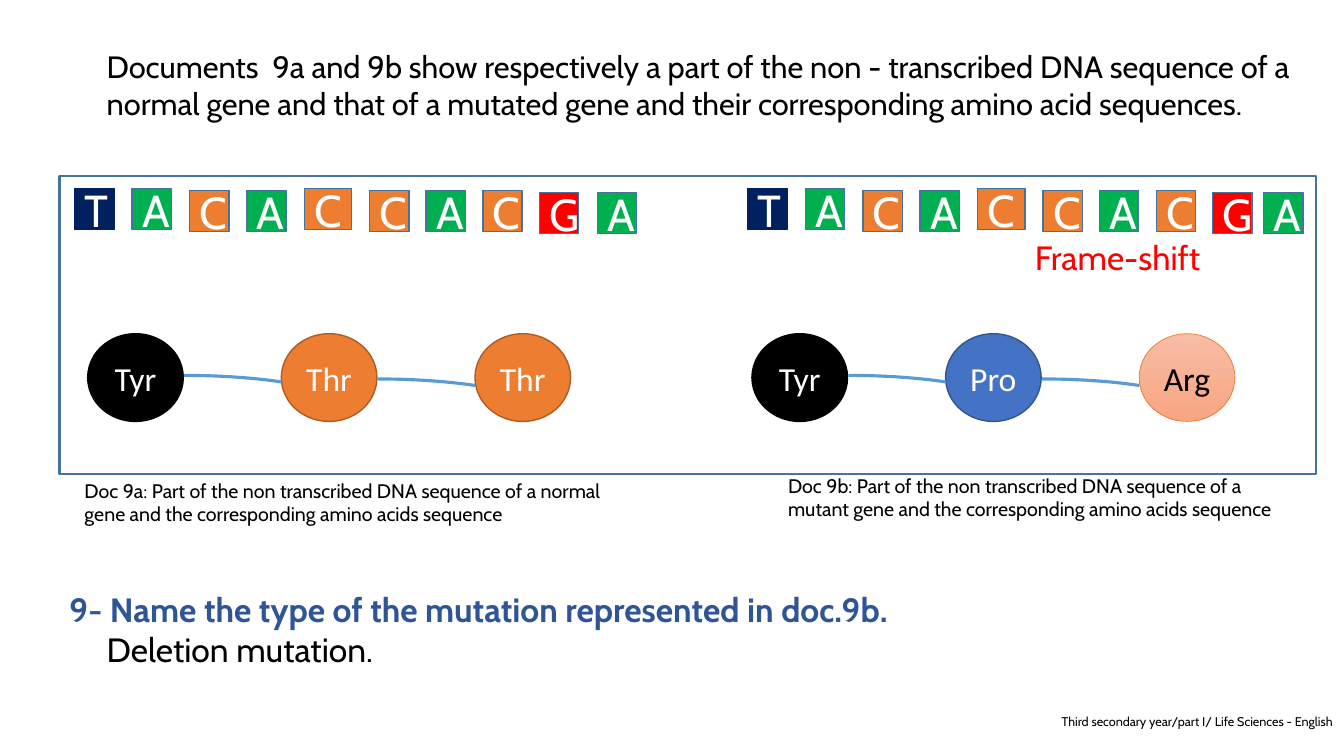
from pptx import Presentation
from pptx.dml.color import RGBColor
from pptx.enum.shapes import MSO_SHAPE
from pptx.enum.text import MSO_ANCHOR, PP_ALIGN
from pptx.util import Cm, Pt

BLACK = RGBColor(0x00, 0x00, 0x00)
WHITE = RGBColor(0xFF, 0xFF, 0xFF)
NAVY = RGBColor(0x00, 0x20, 0x60)
GREEN = RGBColor(0x00, 0xB0, 0x50)
ORANGE = RGBColor(0xED, 0x7D, 0x31)
RUST = RGBColor(0xAF, 0x5C, 0x24)
RED = RGBColor(0xFF, 0x00, 0x00)
BLUE = RGBColor(0x44, 0x72, 0xC4)
DARK_BLUE = RGBColor(0x32, 0x54, 0x91)
SKY = RGBColor(0x5B, 0x9B, 0xD5)
STEEL = RGBColor(0x43, 0x73, 0x9E)
HEADING = RGBColor(0x2F, 0x55, 0x97)
PEACH = RGBColor(0xF7, 0xBD, 0xA5)
SALMON = RGBColor(0xF8, 0xA5, 0x82)

presentation = Presentation()
presentation.slide_width = Cm(33.87)
presentation.slide_height = Cm(19.05)
slide = presentation.slides.add_slide(presentation.slide_layouts[6])


def add_figure(kind, box, fill, line, width):
    shape = slide.shapes.add_shape(kind, *[Cm(length) for length in box])
    shape.shadow.inherit = False
    if fill is None:
        shape.fill.background()
    else:
        shape.fill.solid()
        shape.fill.fore_color.rgb = fill
    shape.line.color.rgb = line
    shape.line.width = Pt(width)
    return shape


def write(paragraph, text, color, align=PP_ALIGN.LEFT, **font_values):
    paragraph.text = text
    paragraph.alignment = align
    paragraph.font.color.rgb = color
    for name, value in font_values.items():
        setattr(paragraph.font, name, value)


base_colors = {"T": NAVY, "A": GREEN, "C": ORANGE, "G": RED}
tile_offsets = [0, 1.45, 2.9, 4.34, 5.79, 7.44, 8.86, 10.29, 11.71, 13.18]
tile_tops = [4.75, 4.75, 4.8, 4.8, 4.75, 4.8, 4.8, 4.8, 4.85, 4.85]
sequences = [
    (1.88, tile_offsets),
    (18.85, tile_offsets[:-1] + [13.0]),
]
for sequence_left, offsets in sequences:
    for index, (base, offset, top) in enumerate(zip("TACACCACGA", offsets, tile_tops)):
        tile_width = 1.19 if index == 4 else 0.99
        border = NAVY if base == "T" else STEEL
        tile = add_figure(MSO_SHAPE.RECTANGLE, (sequence_left + offset, top, tile_width, 1.04),
                          base_colors[base], border, 1)
        tile.text_frame.vertical_anchor = MSO_ANCHOR.MIDDLE
        write(tile.text_frame.paragraphs[0], base, WHITE, PP_ALIGN.CENTER,
              size=Pt(32), name="Cabin")

amino_acid_styles = {
    "Tyr": (BLACK, BLACK, 1, WHITE),
    "Thr": (ORANGE, RUST, 1, WHITE),
    "Pro": (BLUE, DARK_BLUE, 1, WHITE),
    "Arg": (PEACH, ORANGE, 0.5, BLACK),
}
chains = [(2.21, ["Tyr", "Thr", "Thr"]), (18.95, ["Tyr", "Pro", "Arg"])]
chain_step = 4.88
for chain_left, amino_acids in chains:
    for index, amino_acid in enumerate(amino_acids):
        fill, line, width, color = amino_acid_styles[amino_acid]
        circle = add_figure(MSO_SHAPE.OVAL, (chain_left + index * chain_step, 8.41, 2.41, 2.21),
                            fill, line, width)
        if amino_acid == "Arg":
            circle.fill.gradient()
            circle.fill.gradient_angle = 270
            for stop, stop_color, position in zip(circle.fill.gradient_stops, (PEACH, SALMON), (0, 1)):
                stop.color.rgb = stop_color
                stop.position = position
        circle.text_frame.vertical_anchor = MSO_ANCHOR.MIDDLE
        write(circle.text_frame.paragraphs[0], amino_acid, color, PP_ALIGN.CENTER,
              size=Pt(24), name="Calibri")
    for index in range(2):
        bond = add_figure(MSO_SHAPE.ARC,
                          (chain_left - 1.8 + index * chain_step, 9.46 + index * 0.09, 8.46, 1.78),
                          None, SKY, 2.25)
        bond.adjustments[0] = 162
        bond.adjustments[1] = 206.14

add_figure(MSO_SHAPE.RECTANGLE, (1.5, 4.43, 31.67, 7.52), None, STEEL, 1.5)

texts = [
    ((2.44, 1.09, 31.3, 2.13),
     "Documents  9a and 9b show respectively a part of the non - transcribed DNA sequence of a "
     "normal gene and that of a mutated gene and their corresponding amino acid sequences.",
     BLACK, PP_ALIGN.LEFT, {"size": Pt(22)}),
    ((1.88, 11.94, 13.56, 1.45),
     "Doc 9a: Part of the non transcribed DNA sequence of a normal gene and the corresponding "
     "amino acids sequence",
     BLACK, PP_ALIGN.LEFT, {"size": Pt(14)}),
    ((19.61, 11.81, 13.56, 1.45),
     "Doc 9b: Part of the non transcribed DNA sequence of a mutant gene and the corresponding "
     "amino acids sequence",
     BLACK, PP_ALIGN.LEFT, {"size": Pt(14)}),
    ((25.83, 5.84, 5.99, 1.27), "Frame-shift", RED, PP_ALIGN.LEFT, {"size": Pt(24)}),
    ((8.76, 17.86, 25.07, 0.8), "Third secondary year/part I/ Life Sciences - English",
     BLACK, PP_ALIGN.RIGHT, {"size": Pt(9)}),
    ((1.5, 14.71, 31.55, 2.31), "9- Name the type of the mutation represented in doc.9b.",
     HEADING, PP_ALIGN.LEFT, {"size": Pt(24), "bold": True}),
]
for box, text, color, align, font_values in texts:
    text_box = slide.shapes.add_textbox(*[Cm(length) for length in box])
    text_box.text_frame.word_wrap = True
    write(text_box.text_frame.paragraphs[0], text, color, align, name="Cabin", **font_values)

answer = text_box.text_frame.add_paragraph()
write(answer, "Deletion mutation.", BLACK, size=Pt(24), name="Cabin")
answer._p.get_or_add_pPr().set("indent", str(Cm(0.94)))

presentation.save("out.pptx")
